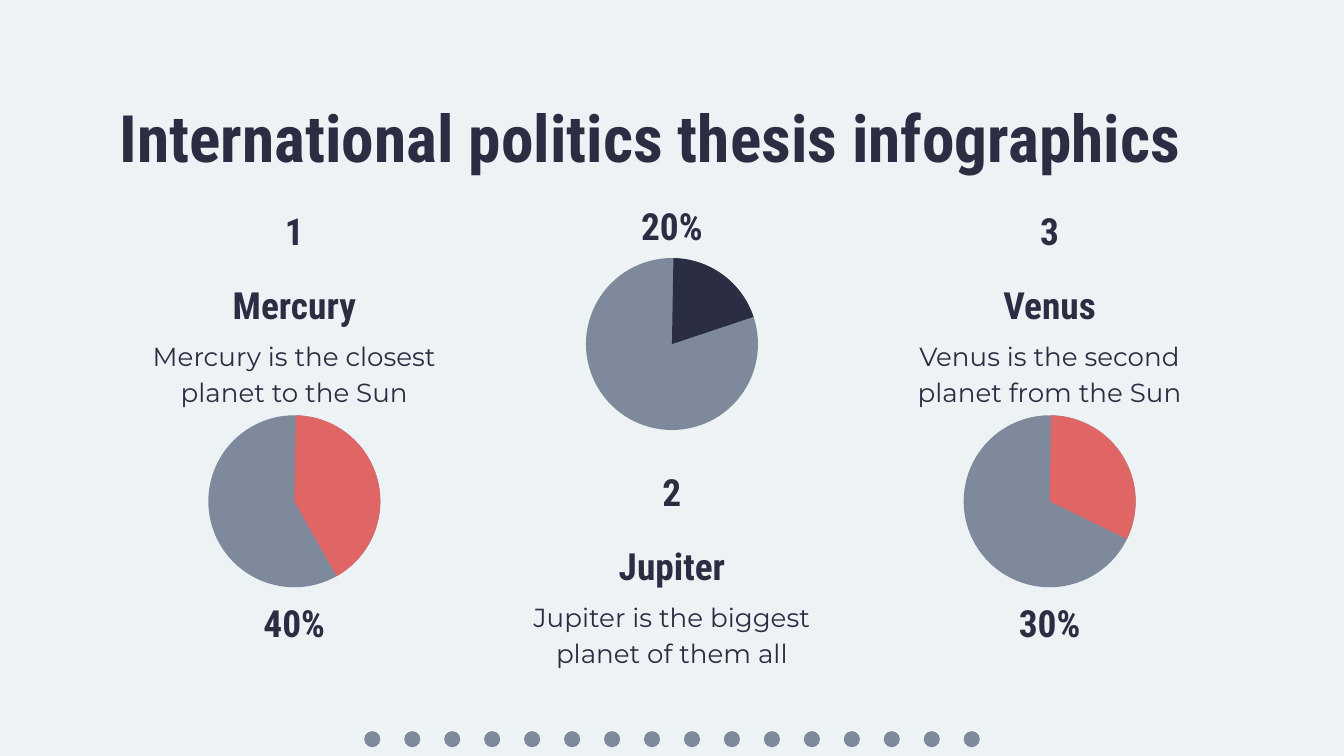
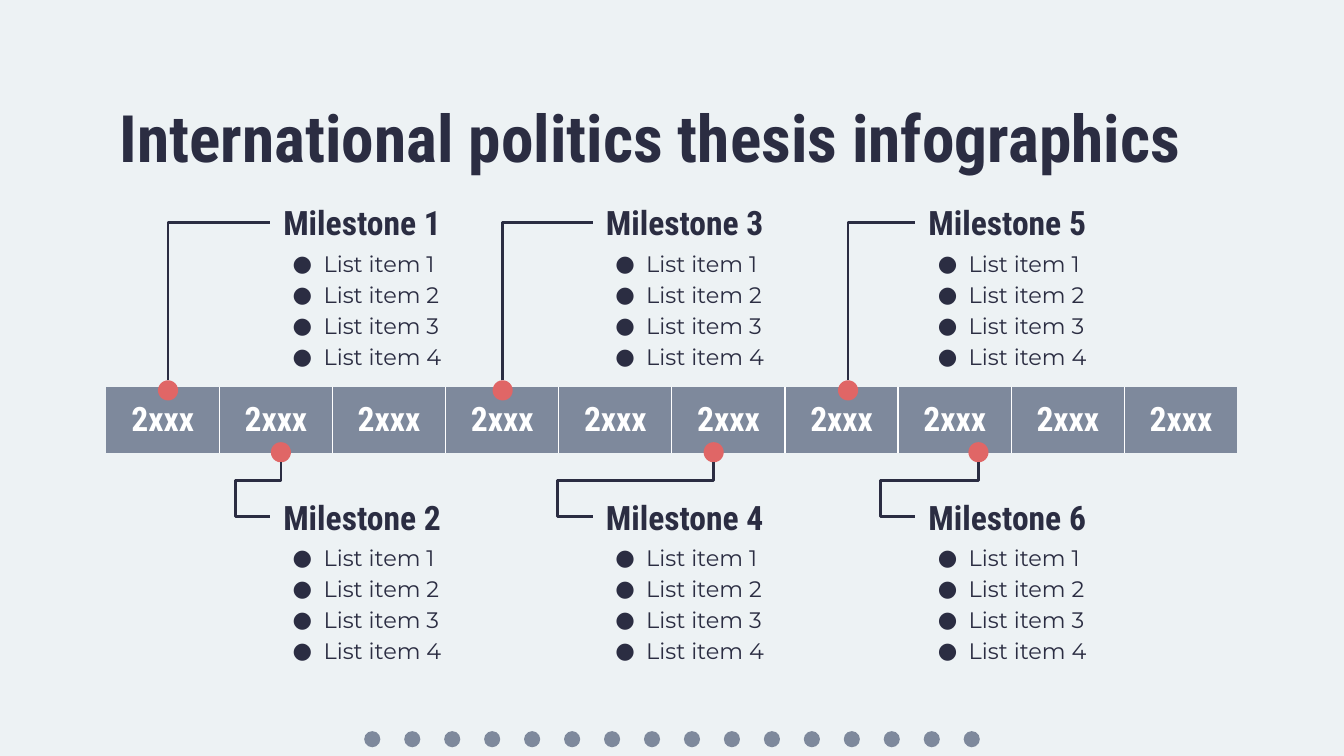
from lxml import etree
from pptx import Presentation
from pptx.dml.color import RGBColor
from pptx.enum import shapes, text
from pptx.oxml.ns import qn
from pptx.util import Inches, Pt

# Shared look
BACK, INK, GREY, RED, WHITE = "EDF2F4", "2B2D42", "7E899C", "E06666", "FFFFFF"
HEAD, BODY = "Roboto Condensed", "Montserrat"
CENTER = text.PP_ALIGN.CENTER
LEFT = text.PP_ALIGN.LEFT
MIDDLE = text.MSO_ANCHOR.MIDDLE
TOP = text.MSO_ANCHOR.TOP
OVAL = shapes.MSO_SHAPE.OVAL

TITLE_STYLE = {"name": HEAD, "size": Pt(35), "bold": True}
LABEL_STYLE = {"name": HEAD, "size": Pt(20), "bold": True}
HEADING_STYLE = {"name": HEAD, "size": Pt(18), "bold": True}
TEXT_STYLE = {"name": BODY, "size": Pt(14), "bold": False}
LIST_STYLE = {"name": BODY, "size": Pt(12), "bold": False}

# Content
TITLE = "International politics thesis infographics"
PLANETS = [  # number, name, description, share, end angle of the slice, colour
    ("1", "Mercury", "Mercury is the closest planet to the Sun", "40%", 60.5, RED),
    ("2", "Jupiter", "Jupiter is the biggest planet of them all", "20%", 341.6, INK),
    ("3", "Venus", "Venus is the second planet from the Sun", "30%", 26, RED),
]
YEARS = ["2xxx"] * 10
LIST_ITEMS = [f"List item {number}" for number in range(1, 5)]
MILESTONES = [  # heading, centre of its dot on the timeline
    ("Milestone 1", 1.25), ("Milestone 2", 2.09),
    ("Milestone 3", 3.74), ("Milestone 4", 5.31),
    ("Milestone 5", 6.31), ("Milestone 6", 7.28),
]


def rgb(value):
    return RGBColor.from_string(value)


def place(left, top, width, height):
    return [Inches(value) for value in (left, top, width, height)]


def set_margins(holder):
    for side in ("left", "top", "right", "bottom"):
        setattr(holder, f"margin_{side}", Inches(0.1))


def add_span(para, line, style, color):
    span = para.add_run()
    span.text = line
    for name, value in style.items():
        setattr(span.font, name, value)
    span.font.color.rgb = rgb(color)


def format_text(frame, lines, style, color=INK, align=LEFT, anchor=MIDDLE,
                spacing=None, bullets=False):
    """Fill a text frame with one paragraph per line."""
    frame.word_wrap = True
    frame.auto_size = text.MSO_AUTO_SIZE.NONE
    frame.vertical_anchor = anchor
    set_margins(frame)
    for index, line in enumerate(lines):
        para = frame.add_paragraph() if index else frame.paragraphs[0]
        if bullets:
            add_bullet(para)
        para.alignment = align
        if spacing:
            para.line_spacing = spacing
        add_span(para, line, style, color)


def add_bullet(para):
    props = para._p.get_or_add_pPr()
    props.set("marL", str(Inches(0.3)))
    props.set("indent", str(-Inches(0.23)))
    color = etree.SubElement(props, qn("a:buClr"))
    etree.SubElement(color, qn("a:srgbClr"), val=INK)
    etree.SubElement(props, qn("a:buFont"), typeface=BODY)
    etree.SubElement(props, qn("a:buChar"), char="●")


def add_text(page, box, lines, style, **options):
    frame = page.shapes.add_textbox(*place(*box)).text_frame
    format_text(frame, lines, style, **options)


def add_shape(page, kind, box, fill=None):
    shape = page.shapes.add_shape(kind, *place(*box))
    shape.shadow.inherit = False
    shape.line.fill.background()
    if fill:
        shape.fill.solid()
        shape.fill.fore_color.rgb = rgb(fill)
    else:
        shape.fill.background()
    return shape


def add_elbow(page, start, end, turns=()):
    """Bent line that leaves its start vertically; turns are shares of its extent."""
    (x1, y1), (x2, y2) = start, end
    width, height = abs(y2 - y1), abs(x2 - x1)  # before the quarter turn
    left, top = (x1 + x2 - width) / 2, (y1 + y2 - height) / 2
    line = page.shapes.add_connector(
        shapes.MSO_CONNECTOR.ELBOW,
        *place(left, top, left + width, top + height))
    line.line.color.rgb = rgb(INK)
    line.line.width = Pt(1.5)
    props = line.element.spPr
    props.find(qn("a:xfrm")).set("rot", str((270 if y2 < y1 else 90) * 60000))
    outline = props.find(qn("a:prstGeom"))
    outline.set("prst", f"bentConnector{len(turns) + 2}")
    guides = outline.find(qn("a:avLst"))
    for number, share in enumerate(turns, 1):
        etree.SubElement(guides, qn("a:gd"), name=f"adj{number}",
                         fmla=f"val {round(share * 100000)}")
    etree.SubElement(props, qn("a:effectLst"))


def prepare_layout(deck):
    """Background and title position shared by every page."""
    fill = deck.slide_master.background.fill
    fill.solid()
    fill.fore_color.rgb = rgb(BACK)
    layout = deck.slide_layouts[5]
    for holder in list(layout.placeholders):
        if holder.placeholder_format.type == shapes.PP_PLACEHOLDER.TITLE:
            holder.left, holder.top, holder.width, holder.height = place(
                0.79, 0.62, 8.42, 0.62)
        else:
            holder.element.getparent().remove(holder.element)
    return layout


def add_footer_dots(page, layout):
    """Draw the row of dots and hand it over to the layout."""
    for index in range(16):
        dot = add_shape(page, OVAL, (2.71 + index * 4.46 / 15, 5.44, 0.12, 0.12), GREY)
        layout.shapes._spTree.append(dot.element)


def add_page(deck, layout):
    page = deck.slides.add_slide(layout)
    format_text(page.shapes.title.text_frame, [TITLE], TITLE_STYLE, anchor=TOP)
    return page


def draw_planets(page):
    column, pie, badge = 2.48, 1.28, 0.57
    for index, (number, name, description, share, angle, color) in enumerate(PLANETS):
        left = 0.95 + index * 2.81
        # The middle column has its pie above the text
        text_top, pie_top, share_top = (
            (3.37, 1.92, 1.49) if index % 2 else (1.43, 3.09, 4.45))

        # Pie
        pie_box = (left + (column - pie) / 2, pie_top, pie, pie)
        add_shape(page, OVAL, pie_box, GREY)
        piece = add_shape(page, shapes.MSO_SHAPE.PIE, pie_box, color)
        for position, degrees in enumerate((271, angle)):
            piece.adjustments[position] = degrees * 0.6

        # Number and text
        circle = add_shape(
            page, OVAL, (left + (column - badge) / 2, text_top, badge, badge))
        format_text(circle.text_frame, [number], LABEL_STYLE, align=CENTER)
        for label, top in ((share, share_top), (name, text_top + 0.65)):
            add_text(page, (left, top, column, 0.37), [label], LABEL_STYLE, align=CENTER)
        add_text(page, (left, text_top + 0.97, column, 0.68), [description],
                 TEXT_STYLE, align=CENTER, anchor=TOP, spacing=1.15)


def draw_years(page):
    frame = page.shapes.add_table(1, len(YEARS), *place(0.79, 2.88, 8.42, 0.27))
    table = frame.table
    table.first_row = table.horz_banding = False
    style = table._tbl.tblPr.find(qn("a:tableStyleId"))
    style.text = "{2D5ABB26-0587-4C30-8999-92F81FD0307C}"  # no style, no grid
    last = len(YEARS) - 1
    for index, (cell, year) in enumerate(zip(table.rows[0].cells, YEARS)):
        # White lines between the cells only
        for side, inner in (("lnL", index > 0), ("lnR", index < last)):
            if inner:
                border = etree.SubElement(cell._tc.get_or_add_tcPr(),
                                          qn(f"a:{side}"), w=str(Pt(0.75)))
                paint = etree.SubElement(border, qn("a:solidFill"))
                etree.SubElement(paint, qn("a:srgbClr"), val=WHITE)
        cell.fill.solid()
        cell.fill.fore_color.rgb = rgb(GREY)
        cell.vertical_anchor = MIDDLE
        set_margins(cell)
        para = cell.text_frame.paragraphs[0]
        para.alignment = CENTER
        add_span(para, year, HEADING_STYLE, WHITE)


def draw_milestones(page):
    dot, stub = 0.15, 0.26
    for index, (heading, center) in enumerate(MILESTONES):
        column, below = divmod(index, 2)
        left = 2.01 + column * 2.4
        top, dot_top = (3.71, 3.29) if below else (1.52, 2.83)

        # Dot and line to the heading
        add_shape(page, OVAL, (center - dot / 2, dot_top, dot, dot), RED)
        start = (center, dot_top + dot if below else dot_top)
        end = (left, top + 0.27 / 2)
        turns = (0.33, (center - left + stub) / (center - left)) if below else ()
        add_elbow(page, start, end, turns)

        # Heading and list
        add_text(page, (left, top, 1.5, 0.27), [heading], HEADING_STYLE)
        add_text(page, (left, top + 0.21, 1.5, 1.08), LIST_ITEMS, LIST_STYLE,
                 anchor=TOP, spacing=1.15, bullets=True)


def main():
    deck = Presentation()
    deck.slide_width = Inches(10)
    deck.slide_height = deck.slide_width * 9 // 16
    layout = prepare_layout(deck)

    planets = add_page(deck, layout)
    add_footer_dots(planets, layout)
    draw_planets(planets)

    timeline = add_page(deck, layout)
    draw_years(timeline)
    draw_milestones(timeline)

    deck.save("out.pptx")


if __name__ == "__main__":
    main()
